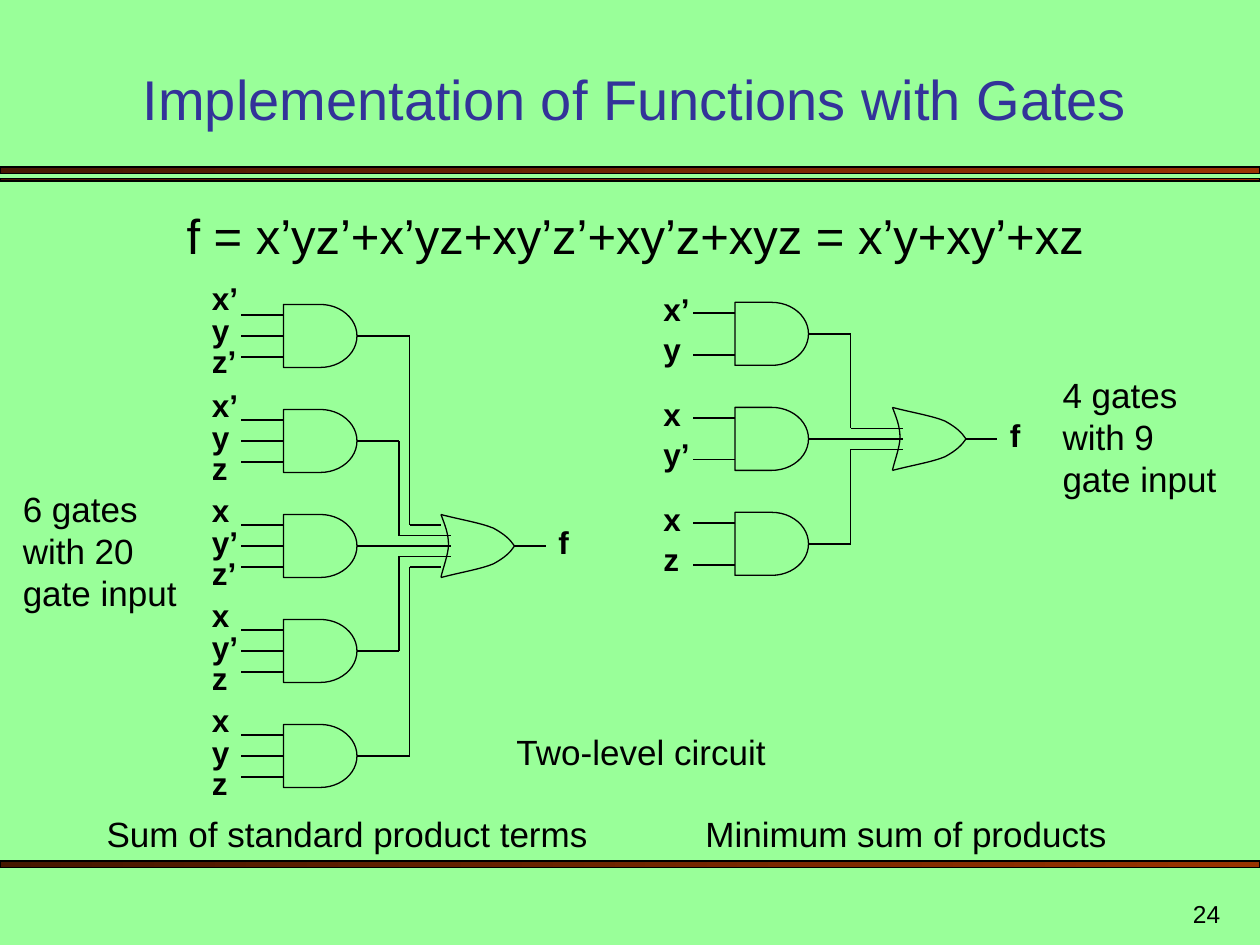
from lxml.etree import SubElement
from pptx import Presentation
from pptx.dml.color import RGBColor
from pptx.enum.shapes import MSO_CONNECTOR, MSO_SHAPE
from pptx.enum.text import MSO_ANCHOR, PP_ALIGN
from pptx.oxml.ns import qn
from pptx.util import Cm, Pt

BLACK = "000000"
TITLE = "Implementation of Functions with Gates"
STRIPES = [(3.37, 0.13), (3.6, 0.05), (17.36, 0.13)]  # top, height in cm

# text, (left, top, width, height) in cm, format
TEXTS = [
    ("f = x’yz’+x’yz+xy’z’+xy’z+xyz = x’y+xy’+xz", (1.48, 4.02, 22.65, 1.45),
     dict(size=28, align=PP_ALIGN.CENTER)),
    ("Two-level circuit", (10.16, 14.6, 6.14, 1.11), {}),
    ("Sum of standard product terms", (1.9, 16.26, 10.59, 1.11), {}),
    ("Minimum sum of products", (13.97, 16.26, 8.89, 1.11), {}),
    ("6 gates with 20 gate input", (0.21, 9.7, 3.81, 2.8), {}),
    ("4 gates with 9 gate input", (21.17, 7.41, 3.81, 2.8), {}),
    ("24", (19.57, 17.78, 5.28, 1.06),
     dict(size=14, align=PP_ALIGN.RIGHT, anchor=MSO_ANCHOR.BOTTOM)),
]

# Circuits are measured in grid units of a twelfth of an inch.
UNIT = 2.54 / 12
GATE_WIDTH, GATE_HEIGHT, GATE_PITCH = 7, 6, 10
OR_OFFSET = 15
# each product: top of its first label, literals
CIRCUITS = [
    dict(left=27, first_centre=32, label_step=3, pins=(-2, 0, 2),
         products=[(26, ("x’", "y", "z’")), (36.2, ("x’", "y", "z")),
                   (46.2, ("x", "y’", "z’")), (56.2, ("x", "y’", "z")),
                   (66.2, ("x", "y", "z"))]),
    dict(left=70, first_centre=31.8, label_step=3.8, pins=(-2, 2),
         products=[(27, ("x’", "y")), (37, ("x", "y’")), (47, ("x", "z"))]),
]

# OR outline: start point followed by Bezier control points, in grid units
OR_BACK = [(0, 0), (0.36, 0.96), (0.72, 1.8), (0.72, 2.88), (0.72, 3.8), (0.1, 5.4), (0, 6)]
OR_TOP = [(0, 0), (1.9, 0.5), (3.8, 0.8), (5, 1.3), (6.1, 1.9), (6.6, 2.4), (7, 3)]
OR_BOTTOM = [(x, GATE_HEIGHT - y) for x, y in OR_TOP]


def color(hex_string):
    return RGBColor.from_string(hex_string)


def grid(units):
    return Cm(units * UNIT)


def write(shape, text, size=20, bold=False, font_color=BLACK,
          align=PP_ALIGN.LEFT, anchor=MSO_ANCHOR.TOP):
    frame = shape.text_frame
    frame.word_wrap = True
    frame.vertical_anchor = anchor
    paragraph = frame.paragraphs[0]
    paragraph.text = text
    paragraph.alignment = align
    font = paragraph.font
    font.name, font.size, font.bold = "Arial", Pt(size), bold
    font.color.rgb = color(font_color)


def set_outline(shape):
    shape.line.color.rgb = color(BLACK)
    shape.line.width = Pt(0.75)


def add_wire(shapes, start, end):
    wire = shapes.add_connector(MSO_CONNECTOR.STRAIGHT, *map(grid, (*start, *end)))
    set_outline(wire)
    SubElement(wire._element.spPr, qn("a:effectLst"))
    return wire


def add_label(shapes, text, left, top):
    box = shapes.add_textbox(grid(left), grid(top), grid(5), grid(4.8))
    write(box, text, size=18, bold=True)


def add_curve(shapes, points):
    """Draw a chain of cubic Bezier curves: a start, then three points per curve."""
    builder = shapes.build_freeform(*points[0])
    builder.add_line_segments(points[1:], close=False)
    curve = builder.convert_to_shape()
    outline = next(curve._element.iter(qn("a:path")))
    segments = outline.findall(qn("a:lnTo"))
    for first in range(0, len(segments), 3):
        bezier = SubElement(outline, qn("a:cubicBezTo"))
        for segment in segments[first:first + 3]:
            bezier.append(segment[0])
            outline.remove(segment)
    curve.fill.background()
    curve.shadow.inherit = False
    set_outline(curve)


def add_or_gate(shapes, left, centre):
    top = centre - GATE_HEIGHT / 2
    for controls in (OR_BACK, OR_TOP, OR_BOTTOM):
        add_curve(shapes, [(grid(left + x), grid(top + y)) for x, y in controls])
    tip = left + GATE_WIDTH
    add_wire(shapes, (tip, centre), (tip + 3, centre))
    add_label(shapes, "f", tip + 3, centre - 2.8)


def add_and_gate(shapes, left, centre, pins):
    gate = shapes.add_shape(MSO_SHAPE.FLOWCHART_DELAY, grid(left),
                            grid(centre - GATE_HEIGHT / 2), grid(GATE_WIDTH), grid(GATE_HEIGHT))
    gate.fill.background()
    gate.shadow.inherit = False
    set_outline(gate)
    for pin in pins:
        wire = add_wire(shapes, (left - 4, centre + pin), (left, centre + pin))
        if pin == 0:
            wire.end_connect(gate, 1)
    return gate


def add_circuit(slide, left, first_centre, label_step, pins, products):
    shapes = slide.shapes.add_group_shape().shapes
    middle = len(products) // 2
    or_left, or_centre = left + OR_OFFSET, first_centre + middle * GATE_PITCH
    add_or_gate(shapes, or_left, or_centre)
    for index, (label_top, literals) in enumerate(products):
        centre = first_centre + index * GATE_PITCH
        gate = add_and_gate(shapes, left, centre, pins)
        for row, literal in enumerate(literals):
            add_label(shapes, literal, left - 8, label_top + row * label_step)

        lane = index - middle
        entry = or_centre + lane
        entry_end = or_left + (1 if abs(lane) < 2 else 0)
        trunk = left + 10 + abs(lane) if lane else entry_end
        output = add_wire(shapes, (left + GATE_WIDTH, centre), (trunk, centre))
        output.begin_connect(gate, 3)
        if lane:
            add_wire(shapes, (trunk, centre), (trunk, entry))
            add_wire(shapes, (trunk, entry), (entry_end, entry))


def add_stripe(slide, top, height):
    stripe = slide.shapes.add_shape(MSO_SHAPE.RECTANGLE, 0, Cm(top), Cm(25.4), Cm(height))
    stripe.shadow.inherit = False
    stripe.fill.gradient()
    stripe.fill.gradient_angle = 180
    for stop, stop_color in zip(stripe.fill.gradient_stops, ("993300", "461700")):
        stop.color.rgb = color(stop_color)
    set_outline(stripe)


def main():
    presentation = Presentation()
    presentation.slide_width, presentation.slide_height = Cm(25.4), Cm(19.05)
    slide = presentation.slides.add_slide(presentation.slide_layouts[5])
    slide.background.fill.solid()
    slide.background.fill.fore_color.rgb = color("99FF99")

    for top, height in STRIPES:
        add_stripe(slide, top, height)

    title = slide.shapes.title
    title.left, title.top, title.width, title.height = map(Cm, (1.48, 1.06, 22.65, 1.73))
    write(title, TITLE, size=32, font_color="333399",
          align=PP_ALIGN.CENTER, anchor=MSO_ANCHOR.BOTTOM)

    for circuit in CIRCUITS:
        add_circuit(slide, **circuit)
    for text, place, text_format in TEXTS:
        write(slide.shapes.add_textbox(*map(Cm, place)), text, **text_format)

    presentation.save("out.pptx")


if __name__ == "__main__":
    main()
